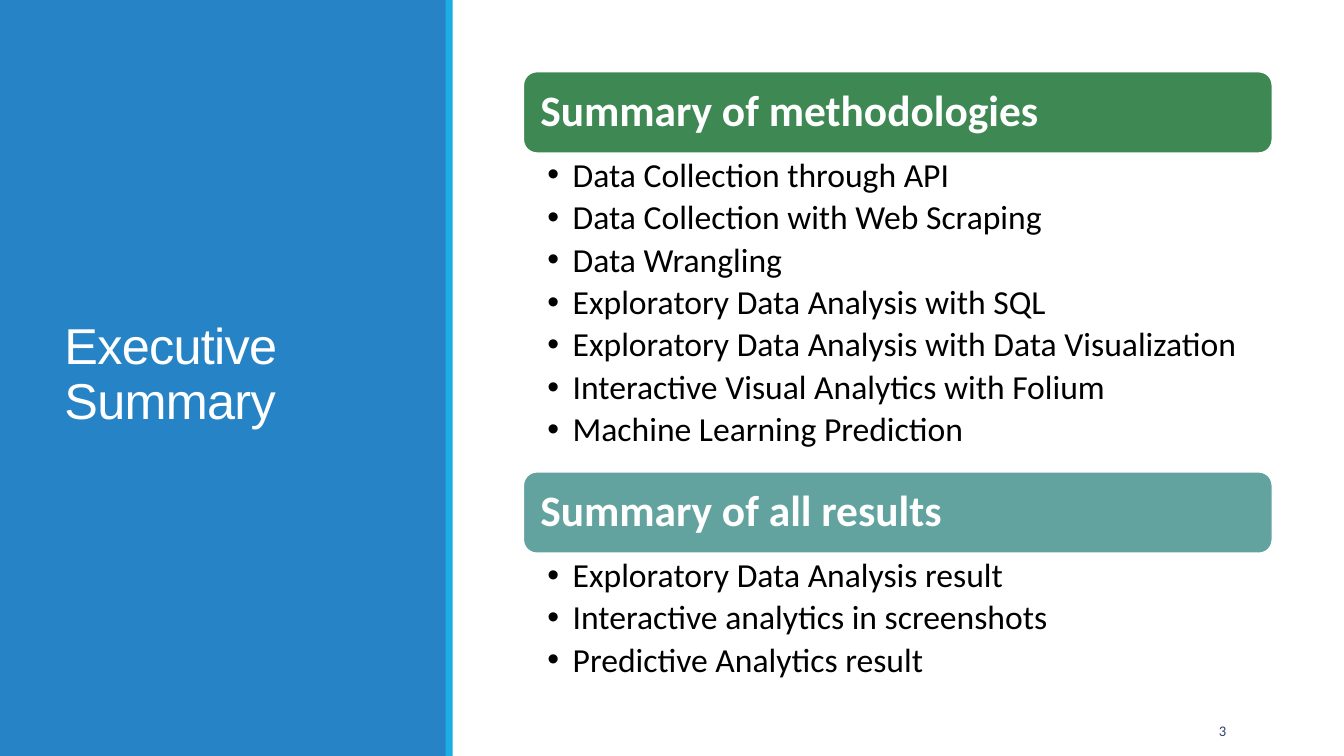
import pptx
import pptx.util
import pptx.dml.color
import pptx.enum.shapes
import pptx.enum.text
import pptx.oxml
import pptx.oxml.ns

Inches = pptx.util.Inches
Pt = pptx.util.Pt
SHAPE = pptx.enum.shapes.MSO_SHAPE
ALIGN = pptx.enum.text.PP_ALIGN
ANCHOR = pptx.enum.text.MSO_ANCHOR

COLORS = {
    "white": "FFFFFF",
    "black": "000000",
    "panel": "2683C6",
    "stripe": "1CADE4",
    "number": "344068",
    "green": "3E8853",
    "teal": "62A39F",
}

SECTIONS = [
    (0.71, 3.16, "green", "Summary of methodologies", [
        "Data Collection through API",
        "Data Collection with Web Scraping",
        "Data Wrangling",
        "Exploratory Data Analysis with SQL",
        "Exploratory Data Analysis with Data Visualization",
        "Interactive Visual Analytics with Folium",
        "Machine Learning Prediction",
    ]),
    (4.68, 1.37, "teal", "Summary of all results", [
        "Exploratory Data Analysis result",
        "Interactive analytics in screenshots",
        "Predictive Analytics result",
    ]),
]
SECTION_LEFT, SECTION_WIDTH, HEADER_HEIGHT = 5.19, 7.43, 0.81


def rgb(name):
    return pptx.dml.color.RGBColor.from_string(COLORS[name])


def add_block(s, kind, left, top, width, height, color):
    sp = s.shapes.add_shape(kind, Inches(left), Inches(top), Inches(width), Inches(height))
    sp.shadow.inherit = False
    sp.fill.solid()
    sp.fill.fore_color.rgb = rgb(color)
    sp.line.fill.background()
    return sp


def add_box(s, left, top, width, height):
    return s.shapes.add_textbox(Inches(left), Inches(top), Inches(width), Inches(height))


def set_frame(sp, anchor, side=0.1, edge=0.05):
    tf = sp.text_frame
    tf.word_wrap = True
    tf.vertical_anchor = anchor
    tf.margin_left = tf.margin_right = Inches(side)
    tf.margin_top = tf.margin_bottom = Inches(edge)
    return tf


def add_text(p, text, size, color, font="Calibri", bold=False, align=ALIGN.LEFT):
    p.alignment = align
    p.line_spacing = 0.9
    r = p.add_run()
    r.text = text
    r.font.name = font
    r.font.size = Pt(size)
    r.font.bold = bold
    r.font.color.rgb = rgb(color)
    return r


def add_bullet(p):
    pPr = p._p.get_or_add_pPr()
    pPr.set("marL", str(Inches(0.25)))
    pPr.set("indent", str(Inches(-0.25)))
    ns = pptx.oxml.ns.nsdecls("a")
    pPr.append(pptx.oxml.parse_xml(f'<a:buFont {ns} typeface="Arial"/>'))
    pPr.append(pptx.oxml.parse_xml(f'<a:buChar {ns} char="•"/>'))


def add_section(s, top, list_height, color, heading, items):
    sp = add_block(s, SHAPE.ROUNDED_RECTANGLE, SECTION_LEFT, top,
                   SECTION_WIDTH, HEADER_HEIGHT, color)
    sp.line.color.rgb = rgb("white")
    sp.line.width = Pt(1.25)
    tf = set_frame(sp, ANCHOR.MIDDLE, 0.13)
    add_text(tf.paragraphs[0], heading, 31, "white", bold=True)

    sp = add_box(s, SECTION_LEFT, top + HEADER_HEIGHT + 0.01, SECTION_WIDTH, list_height)
    tf = set_frame(sp, ANCHOR.TOP, 0.24, 0.04)
    for i, item in enumerate(items):
        p = tf.add_paragraph() if i else tf.paragraphs[0]
        add_bullet(p)
        p.space_after = Pt(4.4)
        add_text(p, item, 24, "black")


def add_title(s, text):
    sp = add_box(s, 0.54, 0.57, 3.37, 6.31)
    tf = set_frame(sp, ANCHOR.MIDDLE)
    r = add_text(tf.paragraphs[0], text, 36, "white", font="Arial")
    r._r.get_or_add_rPr().set("spc", "-50")


def add_number(s, text):
    sp = add_box(s, 11.07, 7.06, 1.19, 0.4)
    tf = set_frame(sp, ANCHOR.MIDDLE)
    add_text(tf.paragraphs[0], text, 10.5, "number", align=ALIGN.RIGHT)


def main():
    prs = pptx.Presentation()
    prs.slide_width = Inches(13.33)
    prs.slide_height = Inches(7.5)
    s = prs.slides.add_slide(prs.slide_layouts[6])
    add_block(s, SHAPE.RECTANGLE, 0, 0, 4.43, 7.5, "panel")
    add_title(s, "Executive Summary")
    add_block(s, SHAPE.RECTANGLE, 4.42, 0, 0.07, 7.5, "stripe")
    add_number(s, "3")
    for section in SECTIONS:
        add_section(s, *section)
    prs.save("out.pptx")


if __name__ == "__main__":
    main()
